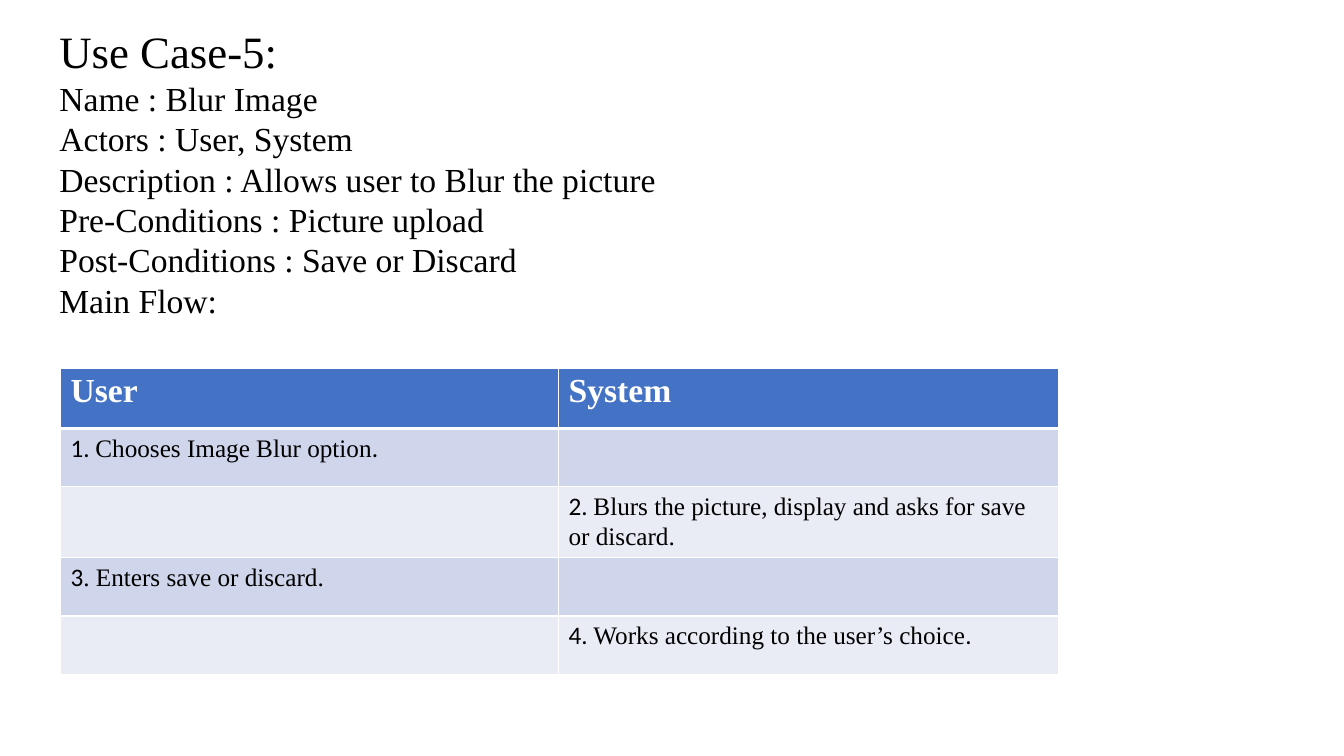
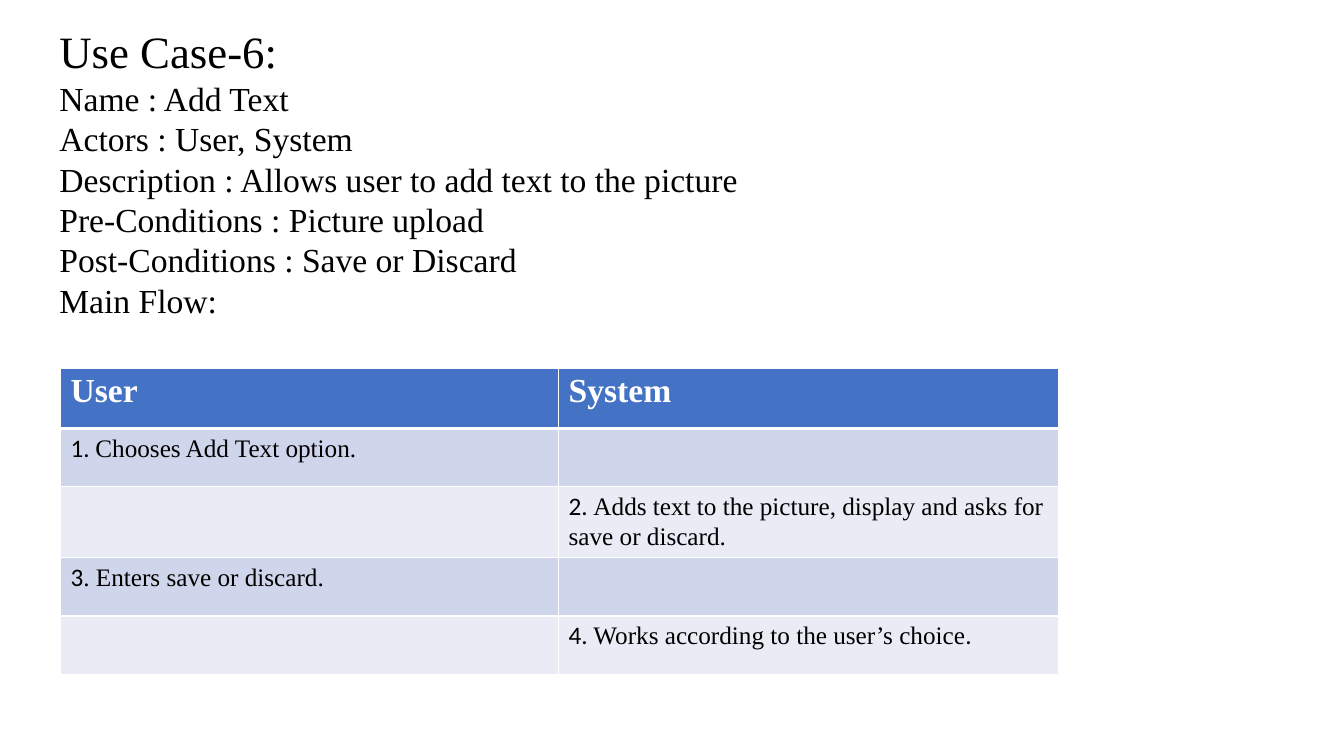
from dataclasses import dataclass

from pptx import Presentation
from pptx.dml.color import RGBColor as RGB
from pptx.oxml.ns import qn
from pptx.util import Inches, Pt
from lxml.etree import SubElement

COLORS = {
    "text": "000000",
    "white": "FFFFFF",
    "header": "4472C4",
    "band_dark": "CFD5EA",
    "band_light": "E9EBF5",
}
SERIF, SANS = "Times New Roman", "Calibri"
ACTORS = ("User", "System")
COL_WIDTHS = (4.94, 4.96)
ROW_HEIGHTS = (0.6, 0.58, 0.58, 0.58, 0.58)


@dataclass(frozen=True)
class Span:
    """A piece of text in one font."""
    text: str
    font: str = SERIF


@dataclass(frozen=True)
class UseCase:
    """What one use case slide says beyond the shared wording."""
    number: int
    name: str
    description: str
    choice: tuple[Span, ...]
    response: str

    def summary(self) -> list[str]:
        """Return the lines below the title."""
        return [
            f"Name : {self.name}",
            f"Actors : {', '.join(ACTORS)}",
            f"Description : {self.description}",
            "Pre-Conditions : Picture upload",
            "Post-Conditions : Save or Discard",
            "Main Flow:",
        ]

    def steps(self) -> list[tuple[Span, ...]]:
        """Return the main flow, user and system taking turns."""
        return [
            (Span("1. ", SANS), *self.choice),
            (Span("2. ", SANS), Span(f"{self.response}, display and asks for save or discard.")),
            (Span("3", SANS), Span(". Enters save or discard.")),
            (Span("4. ", SANS), Span("Works according to the user’s choice"), Span(".", SANS)),
        ]


USE_CASES = (
    UseCase(5, "Blur Image", "Allows user to Blur the picture",
            (Span("Chooses Image Blur option"), Span(".", SANS)), "Blurs the picture"),
    UseCase(6, "Add Text", "Allows user to add text to the picture",
            (Span("Chooses Add Text option."),), "Adds text to the picture"),
)


def add_run(p, span: Span, size: int, color: str = "text", bold: bool = False) -> None:
    """Append a formatted run to a paragraph."""
    r = p.add_run()
    r.text = span.text
    r.font.name, r.font.size, r.font.bold = span.font, Pt(size), bold
    r.font.color.rgb = RGB.from_string(COLORS[color])


def add_summary(s, case: UseCase) -> None:
    """Write the title and the summary lines."""
    tf = s.shapes.add_textbox(Inches(0.49), Inches(0.19), Inches(13.01), Inches(4.01)).text_frame
    tf.word_wrap = True
    add_run(tf.paragraphs[0], Span(f"Use Case-{case.number}:"), 32)
    for line in case.summary():
        add_run(tf.add_paragraph(), Span(line), 24)


def style_cell(cell, fill: str, top: int = 1, bottom: int = 1) -> None:
    """Give a cell white borders, in points, and a solid fill."""
    props = cell._tc.get_or_add_tcPr()
    for side, width in (("L", 1), ("R", 1), ("T", top), ("B", bottom)):
        ln = SubElement(props, qn(f"a:ln{side}"), w=str(Pt(width)))
        SubElement(SubElement(ln, qn("a:solidFill")), qn("a:srgbClr"), val=COLORS["white"])
    cell.fill.solid()
    cell.fill.fore_color.rgb = RGB.from_string(COLORS[fill])


def add_flow(s, case: UseCase) -> None:
    """Draw the main flow table, one step a row."""
    table = s.shapes.add_table(
        len(ROW_HEIGHTS), len(ACTORS), Inches(0.6), Inches(3.65),
        Inches(sum(COL_WIDTHS)), Inches(sum(ROW_HEIGHTS))).table
    for col, width in zip(table.columns, COL_WIDTHS):
        col.width = Inches(width)
    for row, height in zip(table.rows, ROW_HEIGHTS):
        row.height = Inches(height)
    for j, actor in enumerate(ACTORS):
        cell = table.cell(0, j)
        style_cell(cell, "header", bottom=3)
        add_run(cell.text_frame.paragraphs[0], Span(actor), 24, "white", True)
    for i, step in enumerate(case.steps()):
        for j in range(len(ACTORS)):
            style_cell(table.cell(i + 1, j), ("band_dark", "band_light")[i % 2],
                       top=3 if i == 0 else 1)
        p = table.cell(i + 1, i % len(ACTORS)).text_frame.paragraphs[0]
        for span in step:
            add_run(p, span, 18)


def main() -> None:
    """Build the slides and save them."""
    prs = Presentation()
    prs.slide_width, prs.slide_height = Inches(13.33), Inches(7.5)
    for case in USE_CASES:
        s = prs.slides.add_slide(prs.slide_layouts[6])
        add_summary(s, case)
        add_flow(s, case)
    prs.save("out.pptx")


main()
